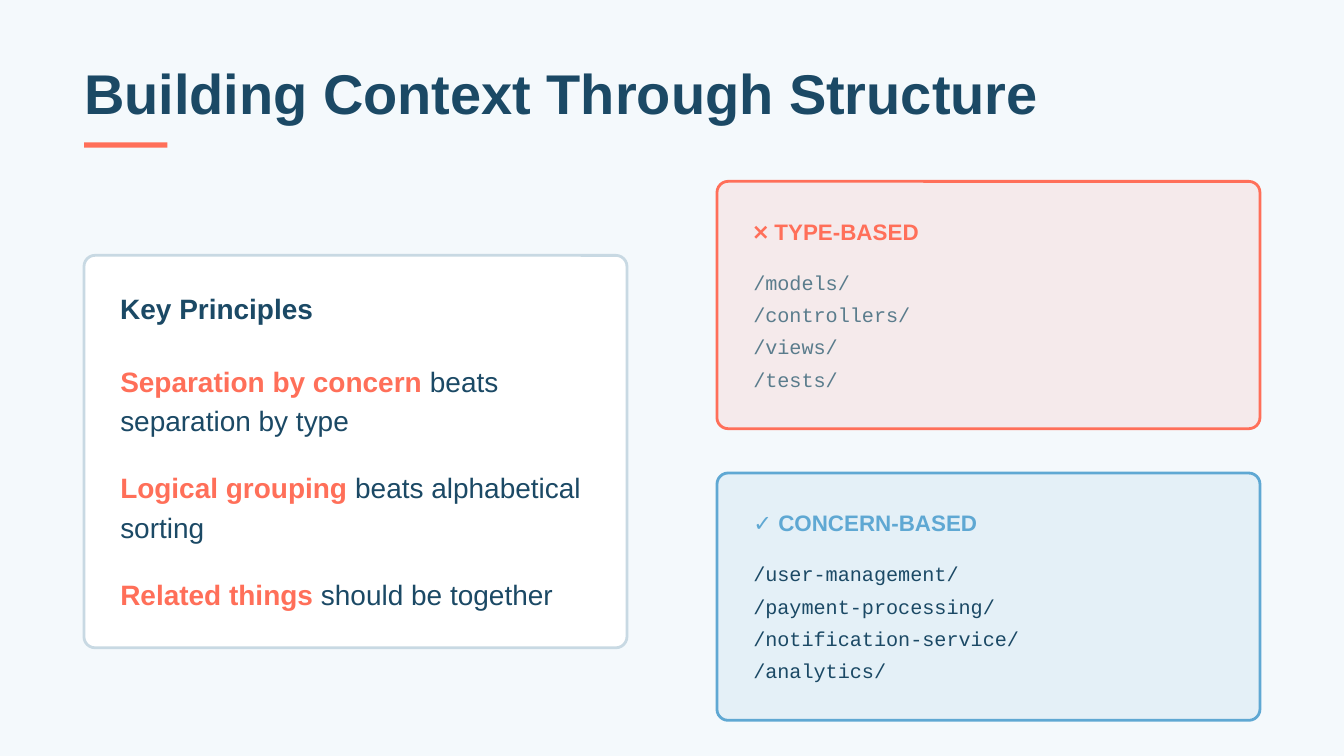
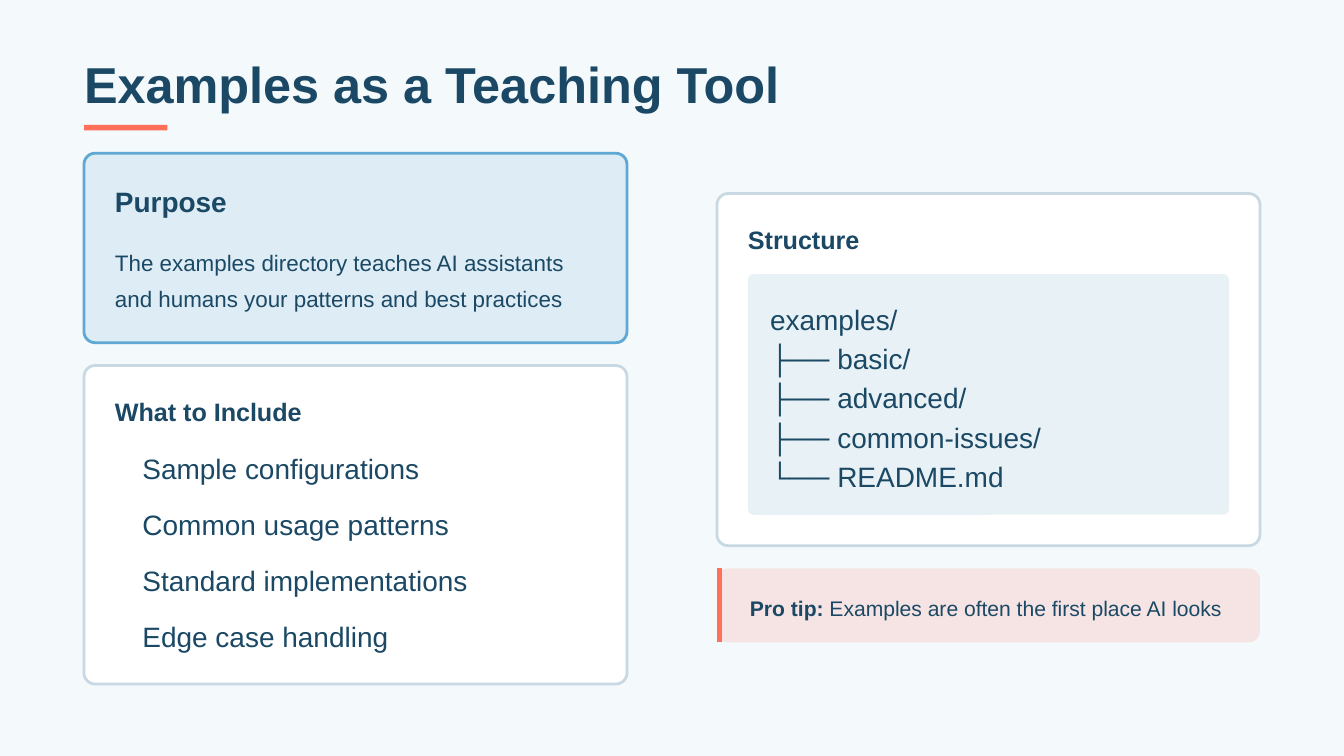
from lxml.etree import SubElement
from pptx import Presentation
from pptx.dml.color import RGBColor
from pptx.enum.shapes import MSO_CONNECTOR, MSO_SHAPE
from pptx.enum.text import MSO_ANCHOR, MSO_AUTO_SIZE, PP_ALIGN
from pptx.oxml.ns import qn
from pptx.util import Inches, Pt

COLORS = {
    "background": "F4F9FC",
    "navy": "1B4965",
    "coral": "FF6F59",
    "blue": "5FA8D3",
    "slate": "5A7C8C",
    "border": "C8D9E3",
    "panel": "E8F1F5",
    "white": "FFFFFF",
}
SLIDE_WIDTH = 10
SLIDE_HEIGHT = SLIDE_WIDTH * 9 / 16
LEFT = SLIDE_WIDTH / 16
CARD_WIDTH = 4.04
RIGHT = SLIDE_WIDTH - LEFT - CARD_WIDTH
CORNER = 0.083

PRINCIPLES = [
    ("Separation by concern", " beats separation by type"),
    ("Logical grouping", " beats alphabetical sorting"),
    ("Related things", " should be together"),
]
LAYOUT_STYLES = [
    {
        "heading": "❌ TYPE-BASED",
        "top": 1.35,
        "accent": "coral",
        "text": "slate",
        "folders": ["/models/", "/controllers/", "/views/", "/tests/"],
    },
    {
        "heading": "✓ CONCERN-BASED",
        "top": 3.52,
        "accent": "blue",
        "text": "navy",
        "folders": [
            "/user-management/",
            "/payment-processing/",
            "/notification-service/",
            "/analytics/",
        ],
    },
]
PURPOSE = "The examples directory teaches AI assistants and humans your patterns and best practices"
INCLUDES = [
    "Sample configurations",
    "Common usage patterns",
    "Standard implementations",
    "Edge case handling",
]
TREE = ["examples/", "├── basic/", "├── advanced/", "├── common-issues/", "└── README.md"]
TIP = ("Pro tip:", " Examples are often the first place AI looks")


def rgb(name):
    return RGBColor.from_string(COLORS[name])


def place(shape, left, top, width, height):
    shape.left, shape.top = Inches(left), Inches(top)
    shape.width, shape.height = Inches(width), Inches(height)


def write(shape, paragraphs, size, spacing=None, color="navy", lead_color="navy",
          bold=False, font="Arial", after=0):
    frame = shape.text_frame
    frame.word_wrap = True
    frame.auto_size = MSO_AUTO_SIZE.NONE
    frame.vertical_anchor = MSO_ANCHOR.TOP
    frame.margin_left = frame.margin_right = frame.margin_top = frame.margin_bottom = 0
    for index, content in enumerate(paragraphs):
        paragraph = frame.add_paragraph() if index else frame.paragraphs[0]
        paragraph.alignment = PP_ALIGN.LEFT
        paragraph.space_before = Pt(0)
        paragraph.space_after = Pt(after)
        if spacing:
            paragraph.line_spacing = Pt(spacing)
        paragraph.font.name = font
        paragraph.font.size = Pt(size)
        if isinstance(content, str):
            paragraph.font.bold = bold
            paragraph.font.color.rgb = rgb(color)
            paragraph.add_run().text = content
        else:
            for text, run_color, run_bold in zip(content, (lead_color, color), (True, False)):
                run = paragraph.add_run()
                run.text = text
                run.font.bold = run_bold
                run.font.color.rgb = rgb(run_color)


def add_text(slide, left, top, width, height, paragraphs, size, **style):
    shape = slide.shapes.add_textbox(0, 0, 0, 0)
    place(shape, left, top, width, height)
    write(shape, paragraphs, size, **style)


def add_list(slide, left, top, width, height, items, size, **style):
    body = slide.placeholders[1]
    slide.shapes.element.append(body.element)
    place(body, left, top, width, height)
    write(body, items, size, **style)
    for paragraph in body.text_frame.paragraphs:
        properties = paragraph._p.get_or_add_pPr()
        properties.set("marL", "0")
        properties.set("indent", "0")
        bullet = SubElement(properties, qn("a:buNone"))
        properties.find(qn("a:defRPr")).addprevious(bullet)


def add_box(slide, left, top, width, height, fill, opacity=100, border=None, corner=CORNER):
    kind = MSO_SHAPE.ROUNDED_RECTANGLE if corner else MSO_SHAPE.RECTANGLE
    shape = slide.shapes.add_shape(
        kind, Inches(left), Inches(top), Inches(width), Inches(height))
    shape.shadow.inherit = False
    if corner:
        shape.adjustments[0] = corner / height
    shape.fill.solid()
    shape.fill.fore_color.rgb = rgb(fill)
    if opacity < 100:
        fill_color = shape.element.spPr.find(qn("a:solidFill")).find(qn("a:srgbClr"))
        SubElement(fill_color, qn("a:alpha"), val=str(opacity * 1000))
    if border:
        shape.line.color.rgb = rgb(border)
        shape.line.width = Pt(1.5)
    else:
        shape.line.fill.background()


def text_width(padding):
    return (CARD_WIDTH - 2 * padding) * 1.02


def add_card(slide, left, top, height, padding, heading, size, spacing=None,
             color="navy", fill="white", opacity=100, border="border"):
    add_box(slide, left, top, CARD_WIDTH, height, fill, opacity, border)
    add_text(slide, left + padding, top + padding, text_width(padding), size / 60,
             [heading], size, spacing=spacing, color=color, bold=True)


def add_titled_slide(presentation, title, size, top, width, rule_top):
    slide = presentation.slides.add_slide(presentation.slide_layouts[1])
    place(slide.shapes.title, LEFT, top, width, size / 72)
    write(slide.shapes.title, [title], size, spacing=size, bold=True)
    add_box(slide, LEFT, rule_top, 0.62, 0.04, "coral", corner=0)
    return slide


def build_context_slide(presentation):
    slide = add_titled_slide(
        presentation, "Building Context Through Structure", 30, 0.52, 7.26, 1.06)
    padding = 0.27
    width = text_width(padding)
    add_card(slide, LEFT, 1.9, 2.92, padding, "Key Principles", 15, 18)
    add_list(slide, LEFT + padding, 2.67, width, 1.87, PRINCIPLES, 15,
             spacing=21, lead_color="coral", after=15)
    for style in LAYOUT_STYLES:
        accent, top = style["accent"], style["top"]
        add_card(slide, RIGHT, top, 1.84, padding, style["heading"], 12,
                 color=accent, fill=accent, opacity=10, border=accent)
        add_text(slide, RIGHT + padding, top + 0.6, width, 0.96, style["folders"], 10.8,
                 spacing=17.3, color=style["text"], font="Courier New")


def build_examples_slide(presentation):
    slide = add_titled_slide(
        presentation, "Examples as a Teaching Tool", 27, 0.47, 5.28, 0.93)
    padding = 0.23
    width = text_width(padding)
    add_card(slide, LEFT, 1.14, 1.41, padding, "Purpose", 15, 18,
             fill="blue", opacity=15, border="blue")
    add_text(slide, LEFT + padding, 1.79, width, 0.53, [PURPOSE], 12, spacing=19.2)
    add_card(slide, LEFT, 2.72, 2.37, padding, "What to Include", 13.5, 16.2)
    add_list(slide, 1.06, 3.32, 3.44, 1.54, INCLUDES, 15, spacing=21, after=9)

    add_card(slide, RIGHT, 1.44, 2.62, padding, "Structure", 13.5, 16.2)
    add_box(slide, RIGHT + padding, 2.04, CARD_WIDTH - 2 * padding, 1.79,
            "panel", corner=CORNER / 2)
    add_text(slide, 5.73, 2.21, 3.31, 1.46, TREE, 15, spacing=21)

    tip_top, tip_height, bar_left = 4.23, 0.55, RIGHT + 0.02
    add_box(slide, RIGHT, tip_top, CARD_WIDTH, tip_height, "coral", opacity=15)
    bar = slide.shapes.add_connector(
        MSO_CONNECTOR.STRAIGHT, Inches(bar_left), Inches(tip_top),
        Inches(bar_left), Inches(tip_top + tip_height))
    bar.line.color.rgb = rgb("coral")
    bar.line.width = Pt(3)
    SubElement(bar.element.spPr, qn("a:effectLst"))
    add_text(slide, 5.58, 4.4, width, 0.22, [TIP], 11.25, spacing=15.75)


def main():
    presentation = Presentation()
    presentation.slide_width = Inches(SLIDE_WIDTH)
    presentation.slide_height = Inches(SLIDE_HEIGHT)
    background = presentation.slide_master.background.fill
    background.solid()
    background.fore_color.rgb = rgb("background")
    build_context_slide(presentation)
    build_examples_slide(presentation)
    presentation.save("out.pptx")


if __name__ == "__main__":
    main()
